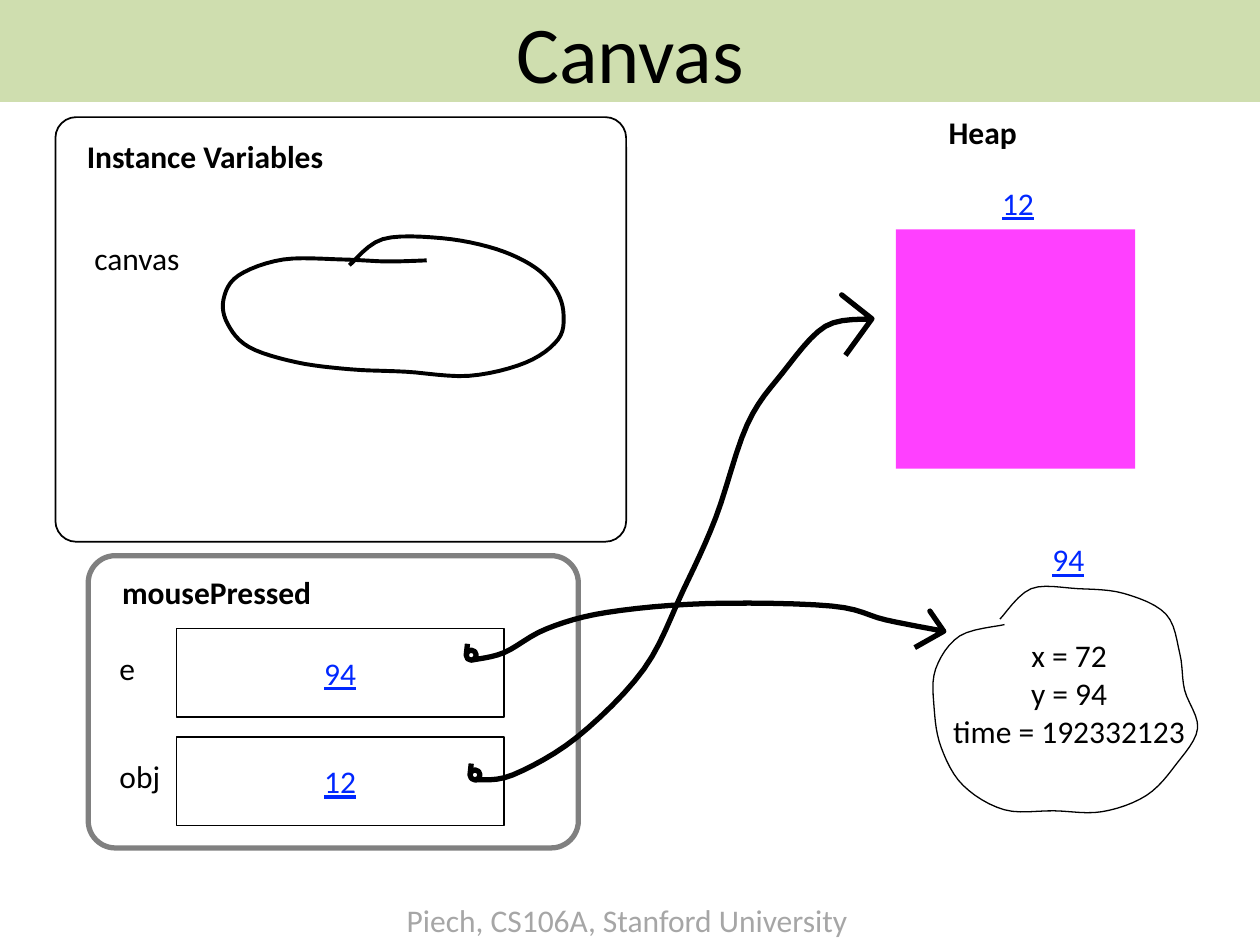
from math import cos, radians, sin

from lxml import etree
from pptx import Presentation
from pptx.dml.color import RGBColor
from pptx.enum import shapes, text
from pptx.oxml.ns import qn
from pptx.util import Inches, Pt

BLACK, WHITE, BLUE = "000000", "FFFFFF", "0027FF"
RECT, ROUND = shapes.MSO_SHAPE.RECTANGLE, shapes.MSO_SHAPE.ROUNDED_RECTANGLE
LEFT, CENTER = text.PP_ALIGN.LEFT, text.PP_ALIGN.CENTER

# Loop radii, one every LOOP_STEP degrees; 1 touches the ellipse that fills the box
LOOP_STEP = 20
CANVAS_RADII = [.69, .65, .74, .94, 1.02, 1.01, 1.01, 1.03, .98, .93, .93,
                1.08, 1.11, 1.07, 1, .98, 1, 1.02, 1.02, .97, .65]
EVENT_RADII = [.81, .98, 1.02, 1, 1.04, 1.1, 1.1, 1.01, 1.05, 1.06,
               1.02, 1.03, .9, .95, 1.07, 1.04, .99, 1.02, .87]


def rgb(hex_color):
    return RGBColor.from_string(hex_color)


# Text and boxes
def write(tf, lines, size=18, color=BLACK, bold=False, underline=False, align=LEFT):
    for i, line in enumerate(lines):
        p = tf.paragraphs[0] if i == 0 else tf.add_paragraph()
        p.text = line
        p.alignment = align
        p.font.name, p.font.size = "Calibri", Pt(size)
        p.font.bold, p.font.underline = bold, underline
        p.font.color.rgb = rgb(color)


def add_label(s, x, y, w, *lines, h=0.4, **style):
    tf = s.shapes.add_textbox(Inches(x), Inches(y), Inches(w), Inches(h)).text_frame
    tf.word_wrap = False
    tf.auto_size = text.MSO_AUTO_SIZE.SHAPE_TO_FIT_TEXT
    write(tf, lines, **style)


def add_address(s, x, y, address):
    add_label(s, x, y, 0.46, address, color=BLUE, underline=True, align=CENTER)


def add_box(s, x, y, w, h, kind=RECT, fill=WHITE, line_width=0, line=BLACK):
    sp = s.shapes.add_shape(kind, Inches(x), Inches(y), Inches(w), Inches(h))
    sp.shadow.inherit = False
    sp.fill.solid()
    sp.fill.fore_color.rgb = rgb(fill)
    if line_width:
        sp.line.color.rgb = rgb(line)
        sp.line.width = Pt(line_width)
    else:
        sp.line.fill.background()
    sp.text_frame.vertical_anchor = text.MSO_ANCHOR.MIDDLE
    return sp


# Hand-drawn strokes
def smooth(points, steps=6):
    """Catmull-Rom curve through the points."""
    padded = [points[0], *points, points[-1]]
    curve = [points[0]]
    for a, b, c, d in zip(padded, padded[1:], padded[2:], padded[3:]):
        for t in (i / steps for i in range(1, steps + 1)):
            curve.append(tuple(
                q + t / 2 * (r - p + t * (2*p - 5*q + 4*r - v + t * (3*q - p - 3*r + v)))
                for p, q, r, v in zip(a, b, c, d)))
    return curve


def add_stroke(s, points, width):
    start, *rest = [(Inches(x), Inches(y)) for x, y in points]
    builder = s.shapes.build_freeform(*start)
    builder.add_line_segments(rest, close=False)
    sp = builder.convert_to_shape()
    sp.shadow.inherit = False
    sp.fill.background()
    sp.line.color.rgb = rgb(BLACK)
    sp.line.width = Pt(width)


def add_loop(s, x, y, w, h, radii, start_angle, width):
    """Wobbly ellipse whose open ends cross, drawn from start_angle."""
    points = []
    for i, radius in enumerate(radii):
        angle = radians(start_angle - LOOP_STEP * i)
        points.append((x + w / 2 * (1 + radius * cos(angle)),
                       y + h / 2 * (1 + radius * sin(angle))))
    add_stroke(s, smooth(points), width)


def add_pointer(s, start, bends, tip, barbs, knot_radius=0.04):
    """Arrow with a scribbled knot at its start and two barbs, given relative to its tip."""
    x, y = start
    tick = (x - 0.03, y - 0.09)
    knot = [(x + knot_radius * cos(radians(a)), y + knot_radius * sin(radians(a)))
            for a in range(180, -271, -45)]
    shaft = smooth([knot[-1], *bends, tip])
    upper, lower = [(tip[0] + dx, tip[1] + dy) for dx, dy in barbs]
    add_stroke(s, [tick, *knot, *shaft, upper, tip, lower], 3)


# Regions of the slide
def add_title(s, x, y, w, h):
    sp = add_box(s, x, y, w, h, fill="C3D69B")
    color = sp.fill._xPr.find(".//" + qn("a:srgbClr"))
    etree.SubElement(color, qn("a:alpha"), val="80000")
    write(sp.text_frame, ["Canvas"], size=46, align=CENTER)


def add_instance_variables(s, x, y, w, h):
    sp = add_box(s, x, y, w, h, ROUND, line_width=1)
    sp.adjustments[0] = 0.049
    add_label(s, x + 0.15, y + 0.11, 2.09, "Instance Variables", bold=True)
    add_label(s, x + 0.21, y + 0.92, 0.9, "canvas")
    add_loop(s, x + 1.34, y + 0.95, 2.7, 1.11, CANVAS_RADII, start_angle=286, width=2.25)


def add_stack_frame(s, x, y, w, h):
    sp = add_box(s, x, y, w, h, ROUND, line_width=3, line="808080")
    sp.adjustments[0] = 0.093
    add_label(s, x + 0.17, y + 0.09, 1.71, "mousePressed", bold=True)
    variables = [("e", 0.33, "94"), ("obj", 0.53, "12")]
    for i, (name, name_w, address) in enumerate(variables):
        row_y = y + 0.58 + 0.86 * i
        add_label(s, x + 0.15, row_y + 0.11, name_w, name)
        cell = add_box(s, x + 0.7, row_y, 2.6, 0.7, line_width=0.75)
        write(cell.text_frame, [address], color=BLUE, underline=True, align=CENTER)


def add_heap(s, x, y):
    add_label(s, x + 0.32, y, 0.75, "Heap", bold=True)
    # Square at address 12
    add_box(s, x, y + 0.97, 1.9, 1.9, fill="FF40FF")
    add_address(s, x + 0.74, y + 0.56, "12")
    # Mouse event at address 94
    add_loop(s, x + 0.3, y + 3.81, 2.1, 1.77, EVENT_RADII, start_angle=235, width=0.75)
    add_label(s, x + 0.34, y + 4.15, 2.07, "x = 72", "y = 94", "time = 192332123",
              h=1.01, align=CENTER)
    add_address(s, x + 1.14, y + 3.39, "94")


def add_pointers(s):
    # e points to the mouse event
    add_pointer(s, start=(3.74, 5.2), tip=(7.49, 5.01),
                bends=[(4, 5.18), (4.34, 4.99), (4.82, 4.86), (5.62, 4.79),
                       (6.6, 4.81), (7.03, 4.92)],
                barbs=[(-0.11, -0.16), (-0.23, 0.13)])
    # obj points to the square
    add_pointer(s, start=(3.77, 6.15), tip=(6.92, 2.53),
                bends=[(4.07, 6.15), (4.58, 5.85), (5.11, 5.31), (5.42, 4.69),
                       (5.68, 4.11), (5.93, 3.37), (6.21, 2.96), (6.55, 2.59)],
                barbs=[(-0.24, -0.19), (-0.21, 0.29)])


def main():
    prs = Presentation()
    prs.slide_width, prs.slide_height = Inches(10), Inches(7.5)
    s = prs.slides.add_slide(prs.slide_layouts[6])

    add_label(s, 3.13, 7.1, 3.74, "Piech, CS106A, Stanford University", color="A6A6A6")
    add_title(s, 0, 0, 10, 0.81)
    add_instance_variables(s, 0.44, 0.93, 4.53, 3.37)
    add_stack_frame(s, 0.7, 4.41, 3.89, 2.32)
    add_heap(s, 7.11, 0.85)
    add_pointers(s)

    prs.save("out.pptx")


if __name__ == "__main__":
    main()
